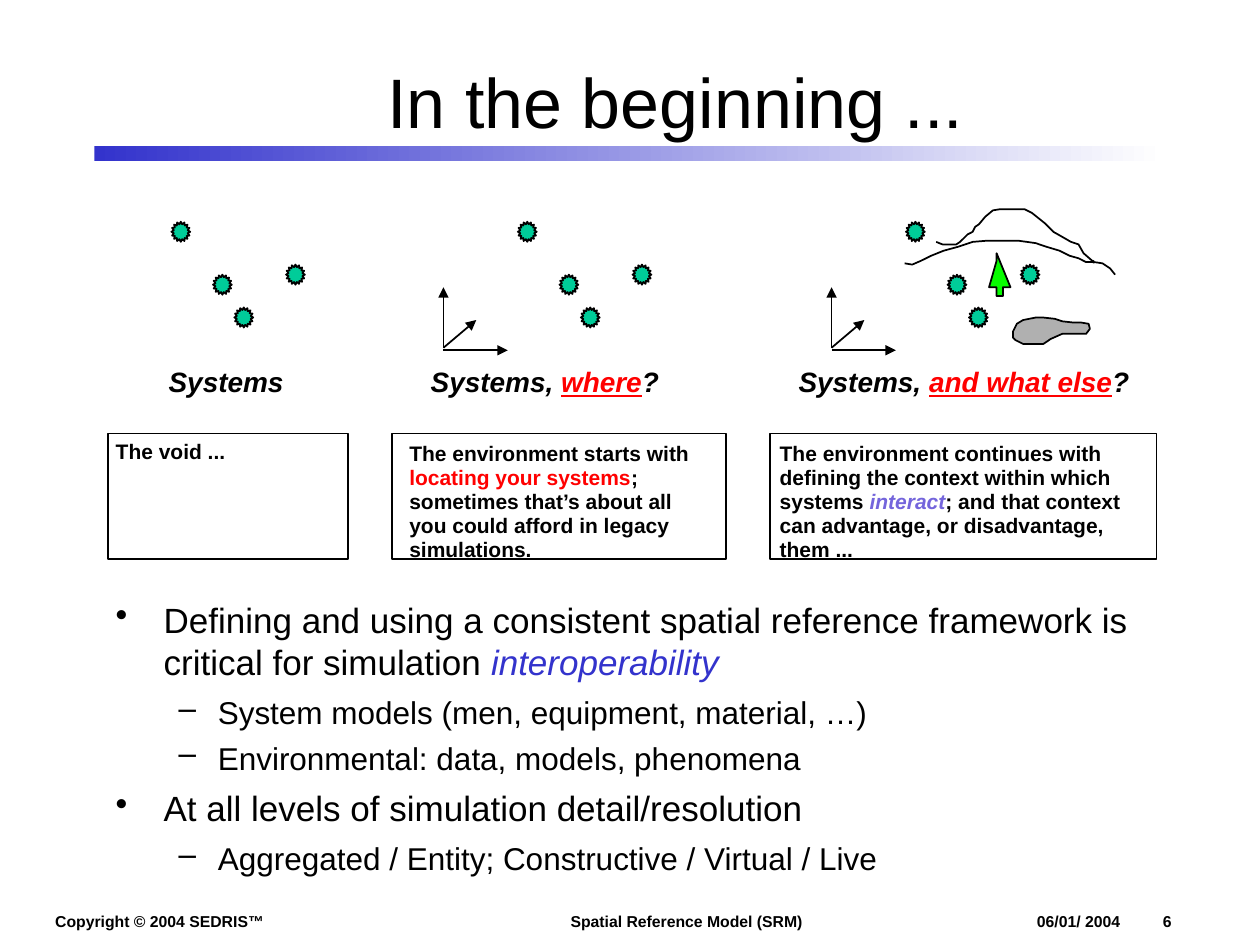
import pptx
import pptx.dml.color
import pptx.enum.shapes
import pptx.enum.text
import pptx.oxml.ns
import pptx.util
from lxml import etree

Inches = pptx.util.Inches
Pt = pptx.util.Pt
SHAPE = pptx.enum.shapes.MSO_SHAPE
ALIGN = pptx.enum.text.PP_ALIGN
ANCHOR = pptx.enum.text.MSO_ANCHOR
BLACK, RED, BLUE, VIOLET = "000000", "FF0000", "3333CC", "7465DC"
PADDING = (0.1, 0.05, 0.1, 0.05)

STARS = [(0.5, 2.44), (0.91, 2.1), (0.33, 2.18), (0, 1.76)]
AXIS_OFFSET = -0.59
AXES = [((0, 2.28), (0, 2.76)), ((0.26, 2.54), (0, 2.76)), ((0.51, 2.78), (0, 2.78))]

# Outline points are in hundredths of an inch.
TREE = [(791, 207), (785, 228), (791, 228), (791, 235), (796, 235), (796, 228),
        (802, 228), (791, 201)]
FRONT_HILL = [(718, 209), (724, 210), (731, 207), (739, 203), (749, 199), (760, 196),
              (772, 192), (784, 191), (808, 191), (822, 193), (831, 196), (841, 199),
              (849, 203), (856, 205), (862, 208), (868, 208), (868, 207), (868, 209)]
BACK_HILL = [(743, 192), (748, 194), (759, 194), (762, 192), (768, 186), (772, 184),
             (774, 180), (777, 178), (782, 172), (788, 167), (794, 166), (813, 166),
             (819, 169), (829, 177), (836, 184), (843, 188), (850, 192), (856, 194),
             (860, 201), (868, 208), (875, 209), (881, 213), (885, 218)]
POND = [(852, 256), (843, 255), (837, 253), (828, 252), (822, 252), (812, 254),
        (807, 257), (804, 263), (804, 268), (806, 270), (812, 273), (828, 273),
        (834, 269), (843, 265), (862, 265), (865, 261), (864, 257), (858, 256)]
SNOW_CAP = [(785, 175), (786, 170), (795, 168), (811, 168), (814, 170), (816, 174),
            (815, 178), (811, 181), (804, 181), (795, 178), (787, 178)]


def color(value):
    return pptx.dml.color.RGBColor.from_string(value)


def style(sp, fill=None, line=BLACK):
    sp.shadow.inherit = False
    if fill:
        sp.fill.solid()
        sp.fill.fore_color.rgb = color(fill)
    else:
        sp.fill.background()
    if line:
        sp.line.color.rgb = color(line)
        sp.line.width = Pt(1)
    else:
        sp.line.fill.background()


def add_shape(shapes, kind, box, fill=None, line=BLACK):
    sp = shapes.add_shape(kind, *map(Inches, box))
    style(sp, fill, line)
    return sp


def add_outline(shapes, points, fill=None, line=BLACK, close=True):
    builder = shapes.build_freeform(*points[0], scale=Inches(0.01))
    builder.add_line_segments(points[1:], close=close)
    style(builder.convert_to_shape(), fill, line)


def add_axis(shapes, tip, origin):
    cx = shapes.add_connector(pptx.enum.shapes.MSO_CONNECTOR.STRAIGHT,
                              *map(Inches, tip + origin))
    cx.line.color.rgb = color(BLACK)
    cx.line.width = Pt(1)
    ln = cx.line._get_or_add_ln()
    etree.SubElement(ln, pptx.oxml.ns.qn("a:headEnd"), type="triangle")
    etree.SubElement(cx._element.spPr, pptx.oxml.ns.qn("a:effectLst"))


def add_runs(p, runs, size, bold=False, italic=False):
    for text, *changes in runs:
        r = p.add_run()
        r.text = text
        look = changes[0] if changes else {}
        r.font.name = "Arial"
        r.font.size = Pt(size)
        r.font.bold = bold
        r.font.italic = look.get("italic", italic)
        r.font.underline = look.get("underline", False)
        r.font.color.rgb = color(look.get("color", BLACK))


def add_text_frame(s, box, wrap=True, grow=True, anchor=ANCHOR.TOP, padding=PADDING):
    tf = s.shapes.add_textbox(*map(Inches, box)).text_frame
    tf.word_wrap = wrap
    size = pptx.enum.text.MSO_AUTO_SIZE
    tf.auto_size = size.SHAPE_TO_FIT_TEXT if grow else size.NONE
    tf.vertical_anchor = anchor
    tf.margin_left, tf.margin_top, tf.margin_right, tf.margin_bottom = map(Inches, padding)
    return tf


def add_text(s, box, paragraphs, size, spacing=None, bold=True, italic=False,
             align=ALIGN.LEFT, **frame):
    tf = add_text_frame(s, box, **frame)
    for i, runs in enumerate(paragraphs):
        p = tf.add_paragraph() if i else tf.paragraphs[0]
        p.alignment = align
        if spacing:
            p.line_spacing = spacing
        add_runs(p, runs, size, bold, italic)
    return tf


def add_bullets(s, box, items):
    levels = [("•", 0.38, 0.38, 20), ("–", 0.81, 0.31, 18)]
    tf = add_text_frame(s, box, grow=False)
    for i, (level, before, runs) in enumerate(items):
        mark, margin, hanging, size = levels[level]
        p = tf.add_paragraph() if i else tf.paragraphs[0]
        p.level = level
        pPr = p._p.get_or_add_pPr()
        pPr.set("marL", str(Inches(margin)))
        pPr.set("indent", str(-Inches(hanging)))
        etree.SubElement(pPr, pptx.oxml.ns.qn("a:buChar"), char=mark)
        p.space_before = Pt(before)
        add_runs(p, runs, size)


def add_scene(s, left, axes=True, terrain=False):
    shapes = s.shapes.add_group_shape().shapes
    for dx, y in STARS:
        star = add_shape(shapes, SHAPE.STAR_16_POINT, (left + dx, y, 0.15, 0.16), "00CC99")
        star.adjustments[0] = 0.375
    if axes:
        x = left + AXIS_OFFSET
        for (tip_x, tip_y), (origin_x, origin_y) in AXES:
            add_axis(shapes, (x + tip_x, tip_y), (x + origin_x, origin_y))
    if terrain:
        add_outline(shapes, TREE, "07FC00")
        add_outline(shapes, FRONT_HILL, close=False)
        add_outline(shapes, BACK_HILL, close=False)
        add_outline(shapes, POND, "B0B0B0")
        add_outline(shapes, SNOW_CAP, "FFFFFF", line=None)


def add_footer(s):
    add_text(s, (0.34, 7.19, 1.86, 0.25), [[("Copyright © 2004 SEDRIS™",)]], 9, wrap=False)
    add_text(s, (4.43, 7.19, 2.04, 0.25), [[("Spatial Reference Model (SRM)",)]], 9, wrap=False)
    tf = add_text_frame(s, (8.23, 7.24, 1.44, 0.15), anchor=ANCHOR.BOTTOM, padding=(0, 0, 0, 0))
    p = tf.paragraphs[0]
    tabs = etree.SubElement(p._p.get_or_add_pPr(), pptx.oxml.ns.qn("a:tabLst"))
    for stop in (0.8, 1):
        etree.SubElement(tabs, pptx.oxml.ns.qn("a:tab"), pos=str(Inches(stop)), algn="l")
    add_runs(p, [("06/01/ 2004\t\t6",)], 9, bold=True)


def add_title(s):
    bar = add_shape(s.shapes, SHAPE.RECTANGLE, (0.75, 1.16, 8.5, 0.12), line=None)
    bar.fill.gradient()
    bar.fill.gradient_angle = 0
    for stop, value in zip(bar.fill.gradient_stops, (BLUE, "FFFFFF")):
        stop.color.rgb = color(value)
    add_text(s, (1.21, 0.25, 8.3, 1.09), [[("In the beginning ...",)]], 40, bold=False,
             align=ALIGN.CENTER, grow=False, anchor=ANCHOR.MIDDLE)


def main():
    prs = pptx.Presentation()
    prs.slide_width, prs.slide_height = Inches(10), Inches(7.5)
    s = prs.slides.add_slide(prs.slide_layouts[6])
    add_footer(s)
    add_title(s)
    add_bullets(s, (0.82, 4.7, 8.65, 2.17), [
        (0, 0, [("Defining and using a consistent spatial reference framework is "
                 "critical for simulation ",),
                ("interoperability", {"color": BLUE, "italic": True})]),
        (1, 6, [("System models (men, equipment, material, …)",)]),
        (1, 4.5, [("Environmental: data, models, phenomena",)]),
        (0, 6, [("At all levels of simulation detail/resolution",)]),
        (1, 6, [("Aggregated / Entity; Constructive / Virtual / Live",)])])

    asked = {"color": RED, "underline": True}
    for left, width, runs in [
            (1.24, 1.11, [("Systems",)]),
            (3.32, 2.01, [("Systems, ",), ("where", asked), ("?",)]),
            (6.24, 2.83, [("Systems, ",), ("and what else", asked), ("?",)])]:
        add_text(s, (left, 2.88, width, 0.33), [runs], 16, 0.88, italic=True, wrap=False)

    add_text(s, (0.82, 3.46, 2.12, 0.27), [[("The void ...",)]], 12, 0.88)
    add_text(s, (3.15, 3.46, 2.62, 1.04), [
        [("The environment starts with ",), ("locating your systems", {"color": RED}),
         ("; sometimes that’s about all you could afford in legacy simulations.",)]], 12, 0.95)
    add_text(s, (6.09, 3.46, 3.36, 1.04), [
        [("The environment continues with defining the context within which systems ",),
         ("interact", {"color": VIOLET, "italic": True}), ("; and that context",)],
        [("can advantage, or disadvantage,",)],
        [("them ...",)]], 12, 0.95)
    for left, width in [(0.86, 1.9), (3.11, 2.65), (6.11, 3.07)]:
        add_shape(s.shapes, SHAPE.RECTANGLE, (left, 3.44, width, 1))

    add_scene(s, 1.36, axes=False)
    add_scene(s, 4.11)
    add_scene(s, 7.19, terrain=True)
    prs.save("out.pptx")


if __name__ == "__main__":
    main()
